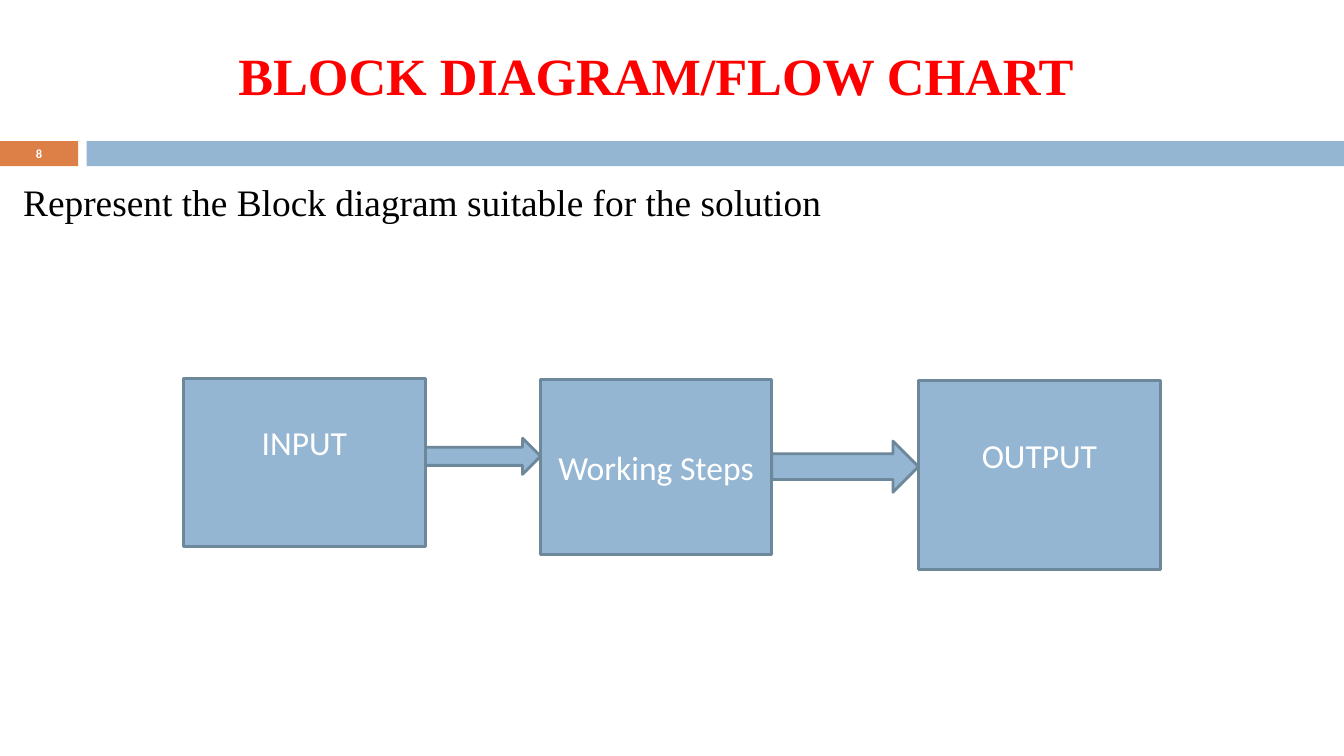
from lxml import etree
from pptx import Presentation
from pptx.dml.color import RGBColor
from pptx.enum.shapes import MSO_SHAPE
from pptx.enum.text import MSO_ANCHOR, MSO_AUTO_SIZE, PP_ALIGN
from pptx.oxml.ns import qn
from pptx.util import Pt

BLUE = RGBColor(0x94, 0xB6, 0xD2)
OUTLINE = RGBColor(0x6D, 0x87, 0x9B)
ORANGE = RGBColor(0xDD, 0x80, 0x47)
RED = RGBColor(0xFF, 0x00, 0x00)
BLACK = RGBColor(0x00, 0x00, 0x00)
WHITE = RGBColor(0xFF, 0xFF, 0xFF)
SERIF = "Times New Roman"
SANS = "Calibri"


class SlideBuilder:
    def __init__(self, slide):
        self.slide = slide

    def set_text(self, shape, text, size, font, color, bold=False,
                 align=PP_ALIGN.CENTER, anchor=MSO_ANCHOR.MIDDLE):
        frame = shape.text_frame
        frame.auto_size = MSO_AUTO_SIZE.NONE
        frame.word_wrap = True
        frame.vertical_anchor = anchor
        paragraph = frame.paragraphs[0]
        paragraph.alignment = align
        paragraph.space_before = Pt(0)
        run = paragraph.add_run()
        run.text = text
        run.font.size = Pt(size)
        run.font.name = font
        run.font.bold = bold
        run.font.color.rgb = color
        return paragraph

    def place(self, shape, left, top, width, height):
        shape.left, shape.top = Pt(left), Pt(top)
        shape.width, shape.height = Pt(width), Pt(height)

    def title(self, text, left, top, width, height):
        shape = self.slide.shapes.title
        self.place(shape, left, top, width, height)
        self.set_text(shape, text, 28, SERIF, RED, bold=True, anchor=MSO_ANCHOR.TOP)
        shape.text_frame.margin_top = Pt(6)

    def body(self, text, left, top, width, height):
        shape = self.slide.placeholders[1]
        self.place(shape, left, top, width, height)
        paragraph = self.set_text(shape, text, 20, SERIF, BLACK,
                                  align=PP_ALIGN.LEFT, anchor=MSO_ANCHOR.TOP)
        properties = paragraph._p.get_or_add_pPr()
        properties.set("marL", "0")
        properties.set("indent", "0")
        etree.SubElement(properties, qn("a:buNone"))

    def shape(self, kind, left, top, width, height, fill=BLUE, outline=OUTLINE):
        shape = self.slide.shapes.add_shape(
            kind, Pt(left), Pt(top), Pt(width), Pt(height))
        shape.shadow.inherit = False
        shape.fill.solid()
        shape.fill.fore_color.rgb = fill
        if outline is None:
            shape.line.fill.background()
        else:
            shape.line.color.rgb = outline
            shape.line.width = Pt(1.5)
        return shape

    def band(self, left, width, fill):
        self.shape(MSO_SHAPE.RECTANGLE, left, 75.6, width, 13.4, fill, None)

    def slide_number(self, text, left, top, width, height):
        box = self.slide.shapes.add_textbox(Pt(left), Pt(top), Pt(width), Pt(height))
        self.set_text(box, text, 6.7, SANS, WHITE, bold=True)

    def block(self, text, left, top, width, height, bottom_margin):
        block = self.shape(MSO_SHAPE.RECTANGLE, left, top, width, height)
        self.set_text(block, text, 18, SANS, WHITE)
        block.text_frame.margin_bottom = Pt(bottom_margin)
        return block

    def arrow(self, source, target, top, height):
        """Fill the gap between two blocks with a block arrow."""
        left = (source.left + source.width) / Pt(1)
        self.shape(MSO_SHAPE.RIGHT_ARROW, left, top, target.left.pt - left, height)


def main():
    presentation = Presentation()
    presentation.slide_width, presentation.slide_height = Pt(720), Pt(405)
    builder = SlideBuilder(
        presentation.slides.add_slide(presentation.slide_layouts[1]))

    builder.band(0, 41.9, ORANGE)
    builder.band(46.5, 673.5, BLUE)
    builder.slide_number("8", 0, 75, 41.9, 14.4)
    builder.title("BLOCK DIAGRAM/FLOW CHART", 84.3, 17.3, 534.2, 74.9)
    builder.body("Represent the Block diagram suitable for the solution",
                 5.2, 92.2, 602, 31.7)

    blocks = [builder.block(*block) for block in (
        ("INPUT", 98.3, 202.7, 129.6, 90, 25),
        ("Working Steps", 289.6, 203.2, 123.8, 93.8, 3.6),
        ("OUTPUT", 492.1, 203.7, 129.6, 101.5, 25),
    )]
    arrow_spans = ((234.8, 19.4), (236.3, 27.4))
    for source, target, span in zip(blocks, blocks[1:], arrow_spans):
        builder.arrow(source, target, *span)

    presentation.save("out.pptx")


if __name__ == "__main__":
    main()
